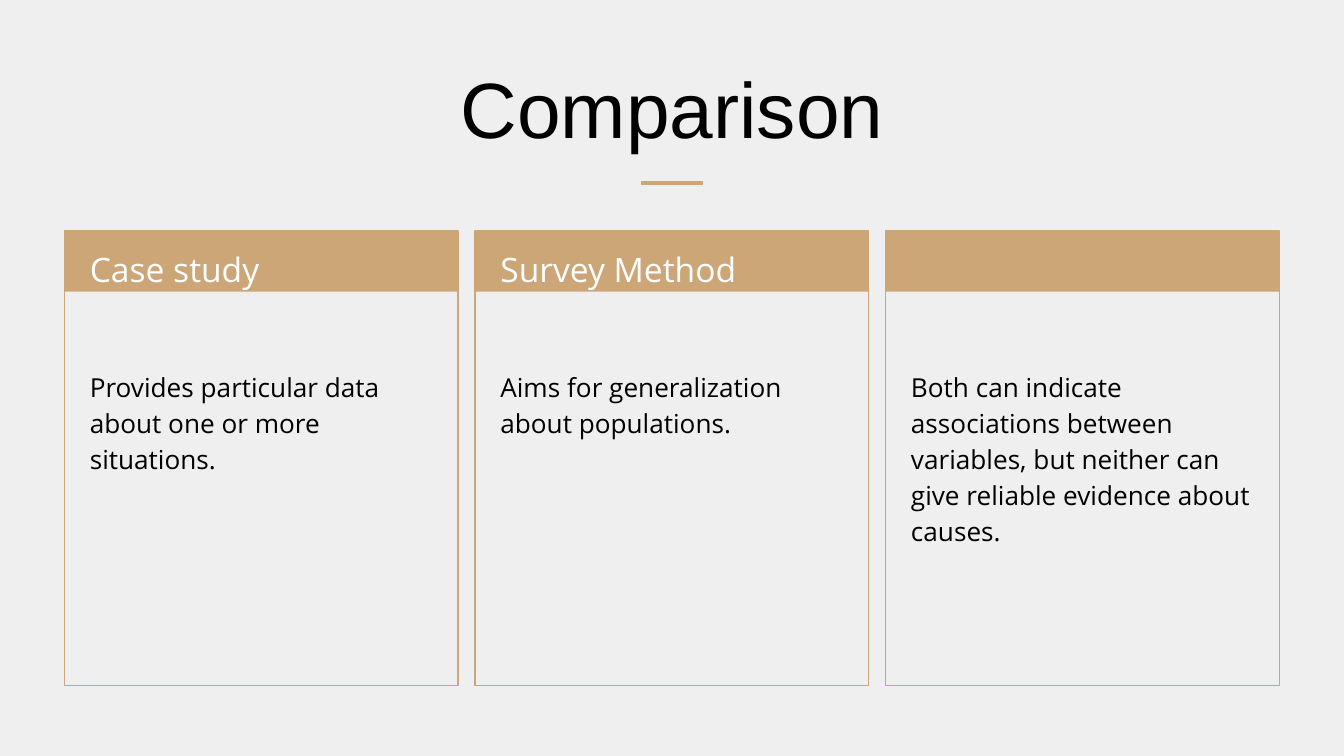
from pptx import Presentation
from pptx.dml.color import RGBColor
from pptx.enum import shapes, text
from pptx.util import Inches, Pt
from lxml import etree

COLORS = {"background": "EFEFEF", "accent": "CCA677", "ink": "000000", "label": "FFFFFF"}

CARDS = [
    ("Case study", "Provides particular data about one or more situations."),
    ("Survey Method", "Aims for generalization about populations."),
    ("", "Both can indicate associations between variables, "
         "but neither can give reliable evidence about causes."),
]
SLIDE_WIDTH = 10
FIRST_LEFT, LAST_LEFT, CARD_TOP = 0.48, 6.59, 1.72
CARD_STEP = (LAST_LEFT - FIRST_LEFT) / (len(CARDS) - 1)
CARD_WIDTH, CARD_HEIGHT, BAND_HEIGHT = 2.93, 3.38, 0.45


def rgb(name):
    return RGBColor.from_string(COLORS[name])


def write(holder, wording, size, color, font="Open Sans", align=text.PP_ALIGN.LEFT,
          anchor=text.MSO_ANCHOR.TOP, line_spacing=None, top_inset=0.1):
    frame = holder.text_frame
    frame.word_wrap = True
    frame.auto_size = text.MSO_AUTO_SIZE.NONE
    frame.vertical_anchor = anchor
    frame.margin_left = frame.margin_right = frame.margin_bottom = Inches(0.1)
    frame.margin_top = Inches(top_inset)
    paragraph = frame.paragraphs[0]
    paragraph.alignment = align
    paragraph.line_spacing = line_spacing
    run = paragraph.add_run()
    run.text = wording
    run.font.name = font
    run.font.size = Pt(size)
    run.font.color.rgb = rgb(color)


def add_title(slide, wording):
    title = slide.shapes.title
    title.left, title.top = Inches(0.34), Inches(0.34)
    title.width, title.height = Inches(9.32), Inches(0.91)
    write(title, wording, 42, "ink", font="Arial", align=text.PP_ALIGN.CENTER,
          anchor=text.MSO_ANCHOR.BOTTOM)


def add_rule(slide, left, right, y):
    rule = slide.shapes.add_connector(
        shapes.MSO_CONNECTOR.STRAIGHT, Inches(left), Inches(y), Inches(right), Inches(y))
    rule.line.color.rgb = rgb("accent")
    rule.line.width = Pt(2.25)
    properties = rule.element.spPr
    etree.SubElement(properties, properties.ln.tag.replace("}ln", "}effectLst"))


def add_box(group, left, height, filled):
    box = group.shapes.add_shape(
        shapes.MSO_SHAPE.RECTANGLE, Inches(left), Inches(CARD_TOP),
        Inches(CARD_WIDTH), Inches(height))
    box.shadow.inherit = False
    if filled:
        box.fill.solid()
        box.fill.fore_color.rgb = rgb("accent")
        box.line.fill.background()
    else:
        box.fill.background()
        box.line.color.rgb = rgb("accent")
        box.line.width = Pt(0.75)


def add_text(slide, left, top, height, wording, size, color, **style):
    box = slide.shapes.add_textbox(Inches(left), Inches(top), Inches(2.73), Inches(height))
    write(box, wording, size, color, line_spacing=1.15, **style)


def add_card(slide, left, heading, description):
    # Outline and heading band
    group = slide.shapes.add_group_shape()
    add_box(group, left, CARD_HEIGHT, filled=False)
    add_box(group, left, BAND_HEIGHT, filled=True)
    # Wording
    if heading:
        add_text(slide, left + 0.09, 1.71, BAND_HEIGHT, heading, 18, "label")
    add_text(slide, left + 0.09, 2.29, 2.8, description, 14, "ink", top_inset=0.44)


def main():
    deck = Presentation()
    deck.slide_width = Inches(SLIDE_WIDTH)
    deck.slide_height = Inches(SLIDE_WIDTH * 9 / 16)
    slide = deck.slides.add_slide(deck.slide_layouts[5])
    slide.background.fill.solid()
    slide.background.fill.fore_color.rgb = rgb("background")

    # Title with its short rule
    add_title(slide, "Comparison")
    add_rule(slide, 4.77, 5.23, 1.36)

    # Three equal cards
    for index, (heading, description) in enumerate(CARDS):
        add_card(slide, FIRST_LEFT + index * CARD_STEP, heading, description)

    deck.save("out.pptx")


if __name__ == "__main__":
    main()
